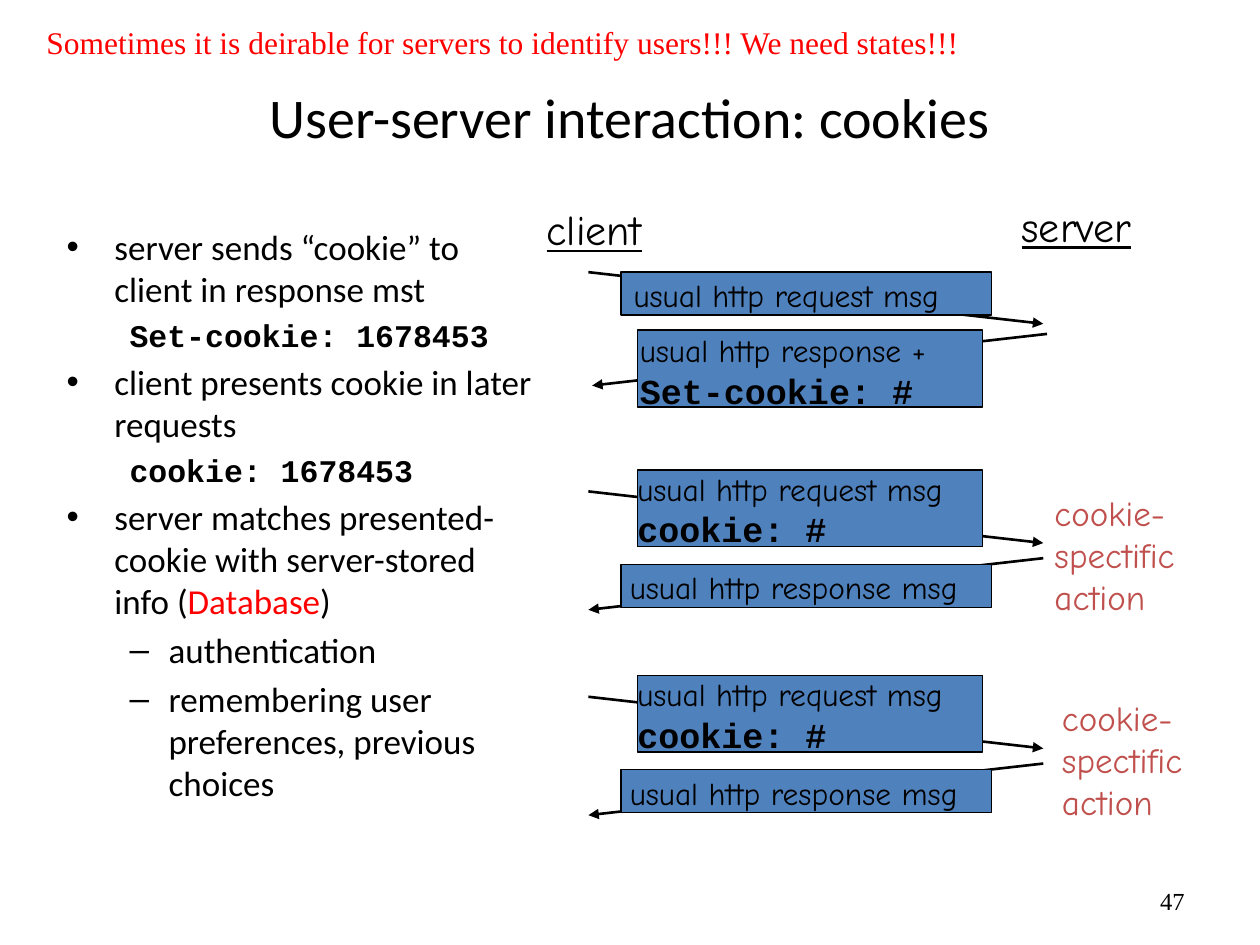
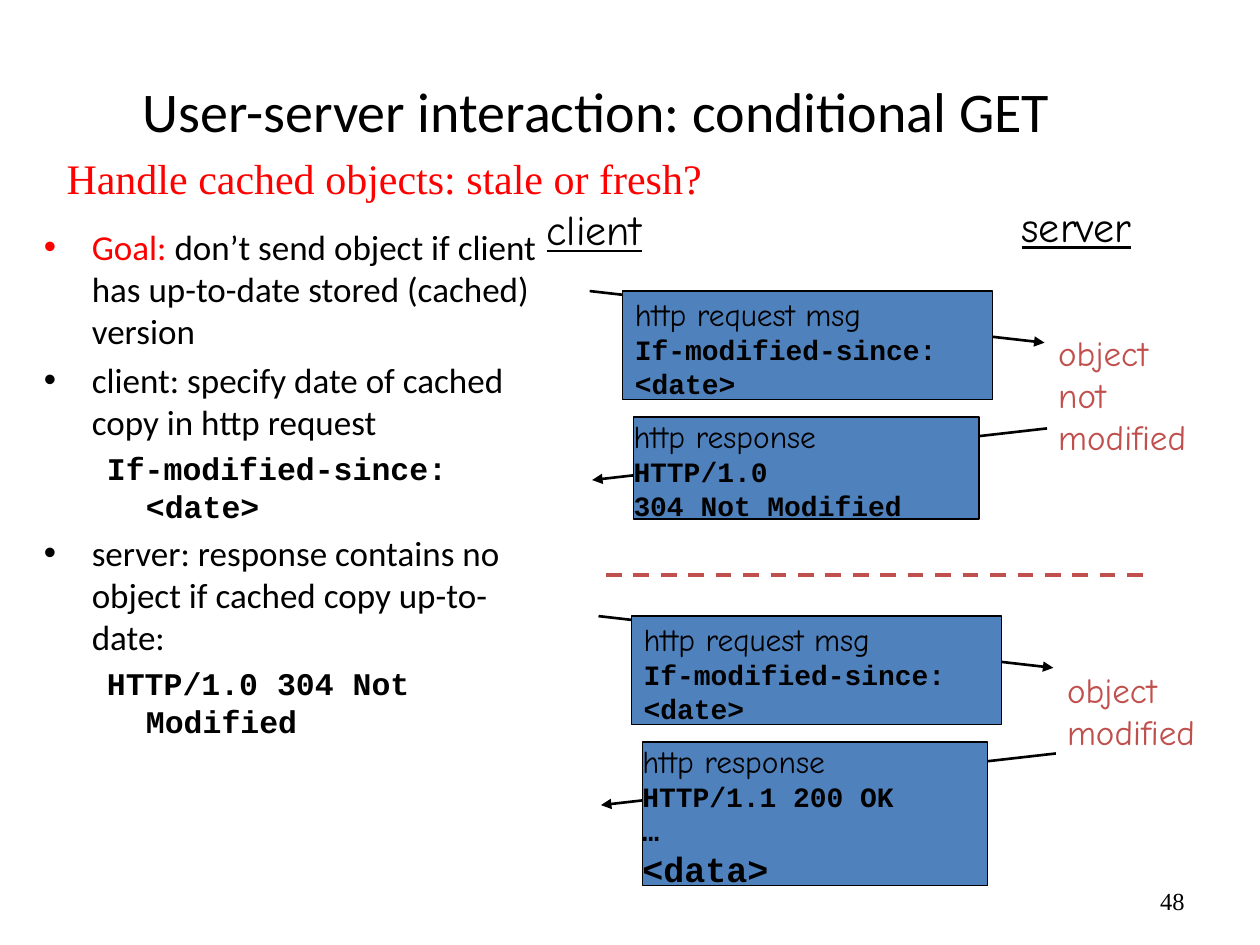
from dataclasses import dataclass

from lxml.etree import SubElement
from pptx import Presentation
from pptx.dml.color import RGBColor
from pptx.enum.dml import MSO_LINE
from pptx.enum.shapes import MSO_CONNECTOR as Connector, MSO_SHAPE as Shape
from pptx.enum.text import MSO_ANCHOR as Anchor, MSO_AUTO_SIZE as AutoSize, PP_ALIGN as Align
from pptx.oxml.ns import qn
from pptx.util import Inches, Pt

COLUMNS, ROWS = 100, 75
WIDTH, HEIGHT = Inches(10), Inches(7.5)
TITLE_ONLY = 5


@dataclass(frozen=True)
class Theme:
    """Colours, fonts and type sizes shared by the slides."""
    ink: str = "000000"
    alert: str = "FF0000"
    accent: str = "C0504D"
    panel: str = "4F81BD"
    body_font: str = "Calibri"
    label_font: str = "Comic Neue"
    code_font: str = "Courier New"
    note_font: str = "Times New Roman"
    title_size: int = 32
    actor_size: int = 24
    body_size: int = 20
    label_size: int = 18
    small_code_size: int = 16
    number_size: int = 14


THEME = Theme()
TITLE = dict(font=THEME.body_font, size=THEME.title_size)
BODY = dict(font=THEME.body_font, size=THEME.body_size)
ALERT = dict(BODY, color=THEME.alert)
CODE = dict(font=THEME.code_font, size=THEME.label_size, bold=True)
LARGE_CODE = dict(CODE, size=THEME.body_size)
SMALL_CODE = dict(CODE, size=THEME.small_code_size)
LABEL = dict(font=THEME.label_font, size=THEME.label_size)
ACTOR = dict(font=THEME.label_font, size=THEME.actor_size, underline=True)
ACTION = dict(font=THEME.label_font, size=THEME.body_size, color=THEME.accent)
NOTE = dict(font=THEME.note_font, size=THEME.label_size, color=THEME.alert)
LARGE_NOTE = dict(NOTE, size=THEME.actor_size)
NUMBER = dict(font=THEME.note_font, size=THEME.number_size)

INDENTS = {0: (0.38, -0.38), 1: (0.81, -0.31)}
MARKS = {0: "•", 1: "–"}
ARROW_SPAN, ARROW_DROP = 36.1, 4.1
WIDE, NARROW = 29.4, 27.4
LABEL_WIDTH = 29.3


def place(column, row, columns, rows):
    """Turn a grid area into left, top, width and height."""
    return (int(WIDTH * column / COLUMNS), int(HEIGHT * row / ROWS),
            int(WIDTH * columns / COLUMNS), int(HEIGHT * rows / ROWS))


def add_span(para, text, *, font, size, color=THEME.ink, bold=False, underline=False):
    """Append formatted text to a paragraph."""
    span = para.add_run()
    span.text = text
    span.font.name = font
    span.font.size = Pt(size)
    span.font.color.rgb = RGBColor.from_string(color)
    span.font.bold = bold
    span.font.underline = underline


def next_para(frame, index):
    """Return the first paragraph, or a new one after it."""
    return frame.add_paragraph() if index else frame.paragraphs[0]


def add_text(slide, area, *lines, align=Align.LEFT, anchor=Anchor.TOP):
    """Add a text box with one (text, format) pair to a line."""
    frame = slide.shapes.add_textbox(*place(*area)).text_frame
    frame.word_wrap = True
    frame.vertical_anchor = anchor
    for index, (text, style) in enumerate(lines):
        para = next_para(frame, index)
        para.alignment = align
        add_span(para, text, **style)


def add_bullets(slide, area, items):
    """Add a list of (level, spans); lines of code carry no mark."""
    frame = slide.shapes.add_textbox(*place(*area)).text_frame
    frame.word_wrap = True
    for index, (level, *spans) in enumerate(items):
        para = next_para(frame, index)
        para.level = level
        margin, hanging = INDENTS[level]
        properties = para._p.get_or_add_pPr()
        properties.set("marL", str(Inches(margin)))
        properties.set("indent", str(Inches(hanging)))
        style = spans[0][1]
        if style is CODE:
            SubElement(properties, qn("a:buNone"))
        else:
            SubElement(properties, qn("a:buFont"), typeface="Arial")
            SubElement(properties, qn("a:buChar"), char=MARKS[level])
        if index:
            para.space_before = Pt(style["size"] * 0.2)
        for text, span_style in spans:
            add_span(para, text, **span_style)


def add_line(slide, start, end, color=THEME.ink, weight=1.5):
    """Add a straight line between two grid points."""
    begin_x, begin_y, end_x, end_y = place(*start, *end)
    line = slide.shapes.add_connector(Connector.STRAIGHT, begin_x, begin_y, end_x, end_y)
    line.line.color.rgb = RGBColor.from_string(color)
    line.line.width = Pt(weight)
    SubElement(line._element.spPr, qn("a:effectLst"))
    return line


def add_message(slide, start, panel, lines, width, nudge, direction):
    """Add an arrow with a labelled panel over it."""
    column, row = start
    arrow = add_line(slide, start, (column + direction * ARROW_SPAN, row + ARROW_DROP))
    SubElement(arrow.line._get_or_add_ln(), qn("a:tailEnd"), type="triangle")
    left, top, height = panel
    box = slide.shapes.add_shape(Shape.RECTANGLE, *place(left, top, width, height))
    box.shadow.inherit = False
    box.fill.solid()
    box.fill.fore_color.rgb = RGBColor.from_string(THEME.panel)
    box.line.color.rgb = RGBColor.from_string(THEME.ink)
    box.line.width = Pt(0.75)
    shift, lift = nudge
    add_text(slide, (left + shift, top + lift, LABEL_WIDTH, height + 1), *lines)


def add_request(slide, start, panel, *lines, width=WIDE, nudge=(0, -0.2)):
    """Add a message from client to server."""
    add_message(slide, start, panel, lines, width, nudge, 1)


def add_response(slide, start, panel, *lines, width=NARROW, nudge=(-1, -0.5)):
    """Add a message from server to client."""
    add_message(slide, start, panel, lines, width, nudge, -1)


def add_action(slide, column, row, *words):
    """Add what the server does, one word to a line."""
    add_text(slide, (column, row, 13.5, 1 + 3.35 * len(words)),
             *((word, ACTION) for word in words))


def add_slide(deck, title, title_area, number):
    """Add a slide with its title, number and the two actors."""
    slide = deck.slides.add_slide(deck.slide_layouts[TITLE_ONLY])
    box = slide.shapes.title
    box.left, box.top, box.width, box.height = place(*title_area)
    frame = box.text_frame
    frame.word_wrap = True
    frame.auto_size = AutoSize.NONE
    frame.vertical_anchor = Anchor.MIDDLE
    frame.paragraphs[0].alignment = Align.CENTER
    add_span(frame.paragraphs[0], title, **TITLE)
    add_text(slide, (71.7, 69.5, 23.3, 4), (str(number), NUMBER),
             align=Align.RIGHT, anchor=Anchor.MIDDLE)
    add_text(slide, (42.4, 15.7, 10.7, 5), ("client", ACTOR))
    add_text(slide, (80.1, 15.4, 12.1, 5), ("server", ACTOR))
    return slide


def build_cookies(deck):
    """Build the slide on cookies."""
    slide = add_slide(deck, "User-server interaction: cookies", (5, 3, 90, 12.5), 47)
    add_bullets(slide, (4.3, 17.4, 39.4, 47.1), [
        (0, ("server sends “cookie” to client in response mst", BODY)),
        (1, ("Set-cookie: 1678453", CODE)),
        (0, ("client presents cookie in later requests", BODY)),
        (1, ("cookie: 1678453", CODE)),
        (0, ("server matches presented-cookie with server-stored info (", BODY),
         ("Database", ALERT), (")", BODY)),
        (1, ("authentication", BODY)),
        (1, ("remembering user preferences, previous choices", BODY)),
    ])
    request = ("usual http request msg", LABEL)
    add_request(slide, (46.7, 21.6), (49.3, 21.6, 3.4), request)
    add_response(slide, (83.1, 26.5), (50.6, 26.2, 6.1),
                 ("usual http response +", LABEL), ("Set-cookie: #", LARGE_CODE),
                 nudge=(-0.8, -0.4))
    for drop, action_column in ((0, 82.7), (16.3, 83.3)):
        add_request(slide, (46.7, 39 + drop), (50.6, 37.3 + drop, 6.1),
                    request, ("cookie: #", LARGE_CODE), width=NARROW, nudge=(-1, -0.5))
        add_response(slide, (82.8, 44.3 + drop), (49.3, 44.8 + drop, 3.4),
                     ("usual http response msg", LABEL), width=WIDE, nudge=(-0.3, -0.2))
        add_action(slide, action_column, 38.5 + drop, "cookie-", "spectific", "action")
    add_text(slide, (2.7, 1.3, 94.5, 4),
             ("Sometimes it is deirable for servers to identify users!!! We need states!!!", NOTE))


def build_conditional_get(deck):
    """Build the slide on the conditional GET."""
    slide = add_slide(deck, "User-server interaction: conditional GET",
                      (3.8, 2.5, 87.1, 12.5), 48)
    add_bullets(slide, (2.5, 17.4, 42.5, 47.1), [
        (0, ("Goal:", ALERT),
         (" don’t send object if client has up-to-date stored (cached) version", BODY)),
        (0, ("client: specify date of cached copy in http request", BODY)),
        (1, ("If-modified-since: <date>", CODE)),
        (0, ("server: response contains no object if cached copy up-to-date:", BODY)),
        (1, ("HTTP/1.0 304 Not Modified", CODE)),
    ])
    not_modified = [("HTTP/1.0", SMALL_CODE), ("304 Not Modified", SMALL_CODE)]
    modified = [("HTTP/1.1 200 OK", SMALL_CODE), ("…", SMALL_CODE), ("<data>", LARGE_CODE)]
    for shift, drop, height, reply in ((0, 0, 8.1, not_modified), (0.7, 25.8, 11.4, modified)):
        add_request(slide, (46.8 + shift, 23.1 + drop), (49.4 + shift, 23.1 + drop, 8.6),
                    ("http request msg", LABEL), ("If-modified-since: <date>", SMALL_CODE))
        add_response(slide, (83.1 + shift, 34 + drop), (50.3 + shift, 33.1 + drop, height),
                     ("http response", LABEL), *reply)
    add_action(slide, 83, 25.8, "object", "not", "modified")
    add_action(slide, 83.7, 52.6, "object", "modified")
    divider = add_line(slide, (48.1, 45.6), (90.8, 45.6), THEME.accent, 2.25)
    divider.line.dash_style = MSO_LINE.DASH
    add_text(slide, (4.3, 11.6, 54.6, 5),
             ("Handle cached objects: stale or fresh?", LARGE_NOTE))


def main():
    """Build the deck and save it."""
    deck = Presentation()
    deck.slide_width, deck.slide_height = WIDTH, HEIGHT
    build_cookies(deck)
    build_conditional_get(deck)
    deck.save("out.pptx")


if __name__ == "__main__":
    main()
